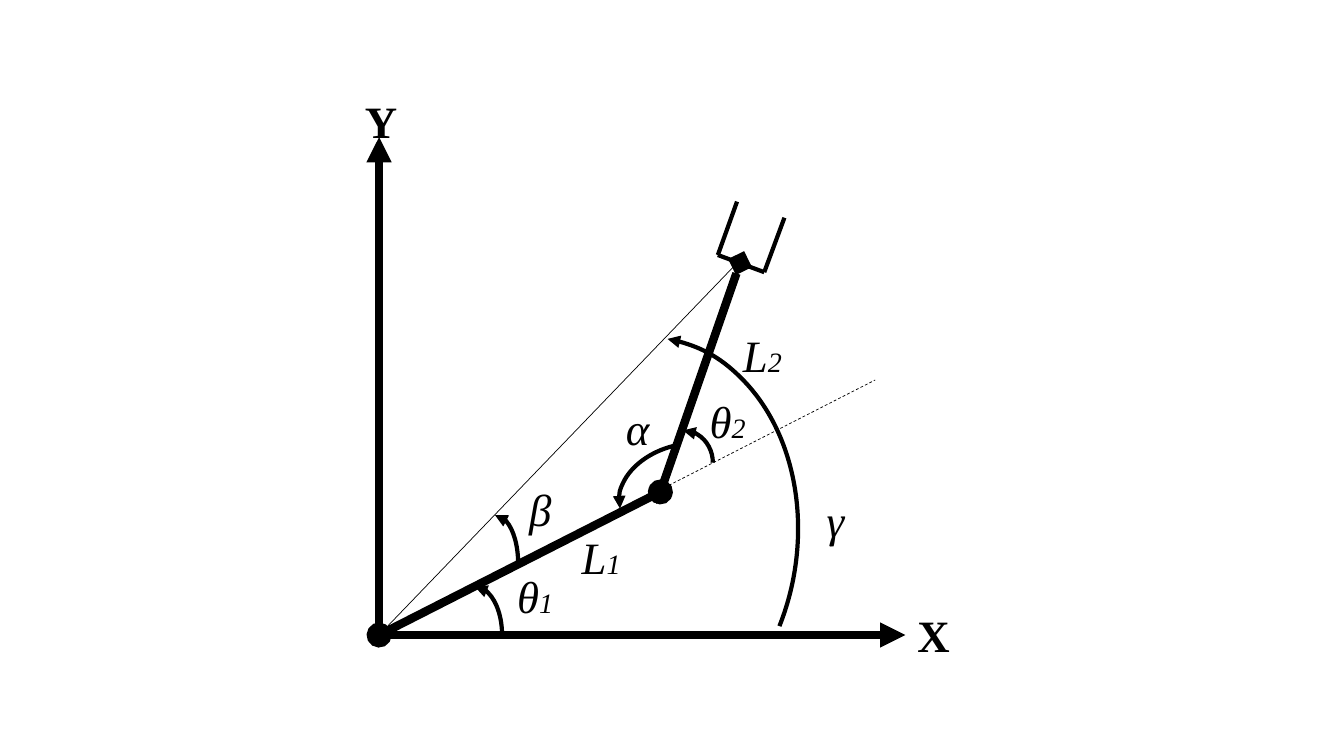
"""Draw a two-link robot arm with its joint angles on one slide."""
import pptx
import pptx.dml.color
import pptx.enum.dml
import pptx.enum.shapes
import pptx.enum.text
import pptx.oxml.ns
import pptx.util
from lxml import etree

COLORS = {"ink": "000000"}
FONT = "Times New Roman"
CELL = pptx.util.Inches(0.1)
INK = pptx.dml.color.RGBColor.from_string(COLORS["ink"])


def format_line(shape, weight, head=None, tail=None, dash=None):
    """Set stroke and ends, and switch the shadow off."""
    shape.line.color.rgb = INK
    shape.line.width = pptx.util.Pt(weight)
    if dash:
        shape.line.dash_style = dash
    properties = shape._element.spPr
    stroke = properties.find(pptx.oxml.ns.qn("a:ln"))
    for end, kind in (("a:headEnd", head), ("a:tailEnd", tail)):
        if kind:
            etree.SubElement(stroke, pptx.oxml.ns.qn(end), type=kind)
    if properties.find(pptx.oxml.ns.qn("a:effectLst")) is None:
        etree.SubElement(properties, pptx.oxml.ns.qn("a:effectLst"))


def add_label(shapes, text, column, row, width, subscript="", bold=False, italic=True):
    """Write a symbol with an optional smaller index."""
    box = shapes.add_textbox(*(round(n * CELL) for n in (column, row, width, 6.4)))
    box.text_frame.word_wrap = False
    box.text_frame.auto_size = pptx.enum.text.MSO_AUTO_SIZE.SHAPE_TO_FIT_TEXT
    para = box.text_frame.paragraphs[0]
    for part, size in ((text, 32), (subscript, 20)):
        if part:
            span = para.add_run()
            span.text = part
            span.font.name = FONT
            span.font.size = pptx.util.Pt(size)
            span.font.bold = bold
            span.font.italic = italic
            span.font.color.rgb = INK


deck = pptx.Presentation()
deck.slide_width = pptx.util.Inches(13.33)
deck.slide_height = pptx.util.Inches(7.5)
page = deck.slides.add_slide(deck.slide_layouts[6])
diagram = page.shapes.add_group_shape().shapes

base = (37.6, 63)
elbow = (65.5, 48.8)
wrist = (73.4, 26.1)
palm_left = (71.2, 25.3)
palm_right = (75.8, 27)
dashed = pptx.enum.dml.MSO_LINE.DASH

segments = [
    (base, (37.6, 13.6), 6, {"tail": "triangle"}),
    ((37.2, 63), (89.8, 63), 6, {"tail": "triangle"}),
    (base, elbow, 6, {"head": "oval", "tail": "oval"}),
    (elbow, wrist, 6, {"head": "diamond", "tail": "diamond"}),
    (palm_left, (73.1, 20), 3, {}),
    (palm_right, (77.8, 21.6), 3, {}),
    (palm_left, palm_right, 3, {}),
    ((63.7, 49.5), (86.8, 37.7), 0.5, {"dash": dashed}),
    (base, (73.1, 26.1), 0.5, {}),
]
for start, finish, weight, options in segments:
    connector = diagram.add_connector(
        pptx.enum.shapes.MSO_CONNECTOR.STRAIGHT,
        *(round(n * CELL) for n in start + finish),
    )
    format_line(connector, weight, **options)

angle_arcs = [
    ((44.4, 58.2, 5.4, 9.6), 0, 0),
    ((64.8, 42.7, 5.9, 6.4), 0, 0),
    ((63.2, 42.2, 9.5, 13.3), 256.1, 0),
    ((46.8, 51.1, 4.6, 9.6), 0, 0),
    ((46.1, 33.3, 32.9, 41.7), 10.1, 10.96),
]
for frame, rotation, sweep_end in angle_arcs:
    arc = diagram.add_shape(
        pptx.enum.shapes.MSO_SHAPE.ARC, *(round(n * CELL) for n in frame)
    )
    arc.rotation = rotation
    arc.adjustments[0] = 162
    arc.adjustments[1] = sweep_end
    arc.fill.background()
    arc.shadow.inherit = False
    format_line(arc, 3, head="triangle")

add_label(diagram, "Y", 35.2, 8.8, 5.3, bold=True, italic=False)
add_label(diagram, "X", 90, 59.8, 5.3, bold=True, italic=False)
add_label(diagram, "θ", 50.3, 55.9, 5.6, subscript="1")
add_label(diagram, "θ", 69.4, 38.6, 5.6, subscript="2")
add_label(diagram, "L", 56.7, 52.1, 5.9, subscript="1")
add_label(diagram, "L", 72.7, 32, 5.9, subscript="2")
add_label(diagram, "α", 61.1, 39.3, 4.4)
add_label(diagram, "β", 51.5, 47.3, 4.3)
add_label(diagram, "γ", 81, 48.4, 3.8)

deck.save("out.pptx")
